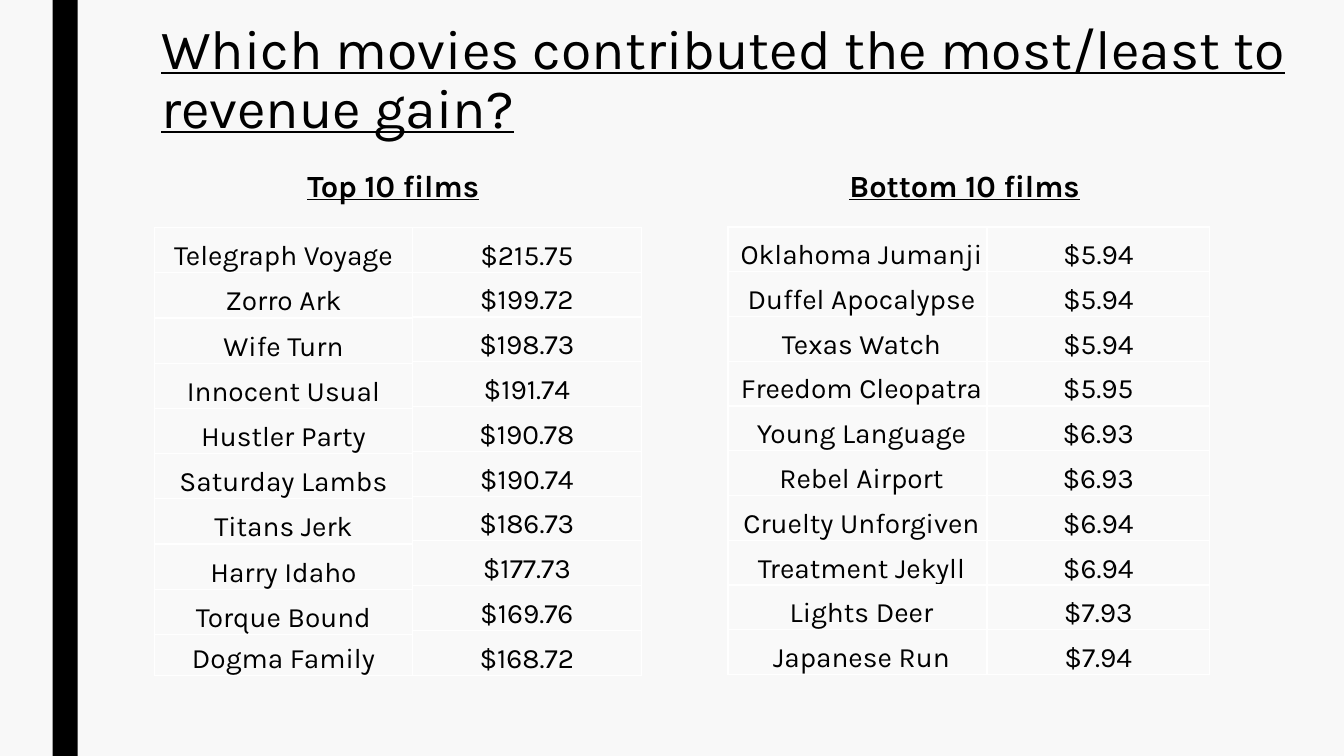
from lxml import etree
from pptx import Presentation
from pptx.dml.color import RGBColor
from pptx.enum.shapes import MSO_SHAPE
from pptx.enum.text import MSO_ANCHOR, PP_ALIGN
from pptx.oxml.ns import qn
from pptx.util import Pt

RECTANGLE = MSO_SHAPE.RECTANGLE
TOP, BOTTOM = MSO_ANCHOR.TOP, MSO_ANCHOR.BOTTOM
LEFT, CENTER = PP_ALIGN.LEFT, PP_ALIGN.CENTER

BLACK, WHITE, PAGE_FILL, CELL_FILL = "000000", "FFFFFF", "F8F8F8", "F9F9F9"
TITLE_FONT = {"name": "Karla", "size": Pt(39.6), "underline": True}
HEADING_FONT = {"name": "Karla", "size": Pt(22), "bold": True, "underline": True}
CELL_FONT = {"name": "Karla", "size": Pt(20)}
CELL_FORMAT = {
    "vertical_anchor": BOTTOM,
    "margin_left": Pt(0.75),
    "margin_right": Pt(0.75),
    "margin_top": Pt(0.75),
    "margin_bottom": Pt(0),
}

TOP_FILMS = [
    ("Telegraph Voyage", "$215.75"),
    ("Zorro Ark", "$199.72"),
    ("Wife Turn", "$198.73"),
    ("Innocent Usual", "$191.74"),
    ("Hustler Party", "$190.78"),
    ("Saturday Lambs", "$190.74"),
    ("Titans Jerk", "$186.73"),
    ("Harry Idaho", "$177.73"),
    ("Torque Bound", "$169.76"),
    ("Dogma Family", "$168.72"),
]
BOTTOM_FILMS = [
    ("Oklahoma Jumanji", "$5.94"),
    ("Duffel Apocalypse", "$5.94"),
    ("Texas Watch", "$5.94"),
    ("Freedom Cleopatra", "$5.95"),
    ("Young Language", "$6.93"),
    ("Rebel Airport", "$6.93"),
    ("Cruelty Unforgiven", "$6.94"),
    ("Treatment Jekyll", "$6.94"),
    ("Lights Deer", "$7.93"),
    ("Japanese Run", "$7.94"),
]


def color(value):
    return RGBColor.from_string(value)


def paint(target, value):
    target.fill.solid()
    target.fill.fore_color.rgb = color(value)


def write(frame, text, font, align):
    para = frame.paragraphs[0]
    para.alignment = align
    span = para.add_run()
    span.text = text
    for name, value in font.items():
        setattr(span.font, name, value)
    span.font.color.rgb = color(BLACK)
    return para


def add_text(page, box, text, font, align, anchor, spacing):
    frame = page.shapes.add_textbox(*map(Pt, box)).text_frame
    frame.word_wrap = True
    frame.vertical_anchor = anchor
    write(frame, text, font, align).line_spacing = spacing


def add_borders(cell, value, width):
    properties = cell._tc.get_or_add_tcPr()
    for side in ("a:lnL", "a:lnR", "a:lnT", "a:lnB"):
        line = etree.SubElement(properties, qn(side), w=str(Pt(width)))
        fill = etree.SubElement(line, qn("a:solidFill"))
        etree.SubElement(fill, qn("a:srgbClr"), val=value)


def add_column(page, box, texts, row_height):
    """One-column table; the last row takes the height that is left."""
    left, top, width, height = box
    count = len(texts)
    table = page.shapes.add_table(count, 1, *map(Pt, box)).table
    table.first_row = table.horz_banding = False
    heights = [row_height] * (count - 1) + [height - row_height * (count - 1)]
    for row, text, size in zip(table.rows, texts, heights):
        row.height = Pt(size)
        cell = row.cells[0]
        for name, value in CELL_FORMAT.items():
            setattr(cell, name, value)
        add_borders(cell, WHITE, 1)
        paint(cell, CELL_FILL)
        write(cell.text_frame, text, CELL_FONT, CENTER)


def add_side_bar(page, box):
    bar = page.shapes.add_shape(RECTANGLE, *map(Pt, box))
    bar.shadow.inherit = False
    paint(bar, BLACK)
    bar.line.fill.background()


def add_ranking(page, box, heading, films, name_box, price_box, name_row):
    """Heading over a name column and a price column, given as (offset, width)."""
    left, top, width, height = box
    add_text(page, (left, top, width, 43.2), heading, HEADING_FONT,
             CENTER, BOTTOM, 0.84)
    names, prices = zip(*films)
    table_top, table_height = top + 56.5, height - 56.5
    for (offset, column_width), texts, row_height in (
        (name_box, names, name_row),
        (price_box, prices, table_height / len(films)),
    ):
        add_column(page, (left + offset, table_top, column_width, table_height),
                   texts, row_height)


def main():
    deck = Presentation()
    deck.slide_width, deck.slide_height = Pt(960), Pt(540)
    page = deck.slides.add_slide(deck.slide_layouts[6])
    paint(page.background, PAGE_FILL)

    # Side bar and title
    add_side_bar(page, (37.5, 0, 18, 540))
    add_text(page, (108, 12.24, 846, 80),
             "Which movies contributed the most/least to revenue gain?",
             TITLE_FONT, LEFT, TOP, 0.89)

    # Film rankings
    add_ranking(page, (105.84, 106, 350, 376.5), "Top 10 films", TOP_FILMS,
                (4.5, 184.3), (188.8, 163.4), 32.3)
    add_ranking(page, (514, 105.6, 350, 376.5), "Bottom 10 films", BOTTOM_FILMS,
                (6, 190.8), (191, 159), 32)

    deck.save("out.pptx")


if __name__ == "__main__":
    main()
